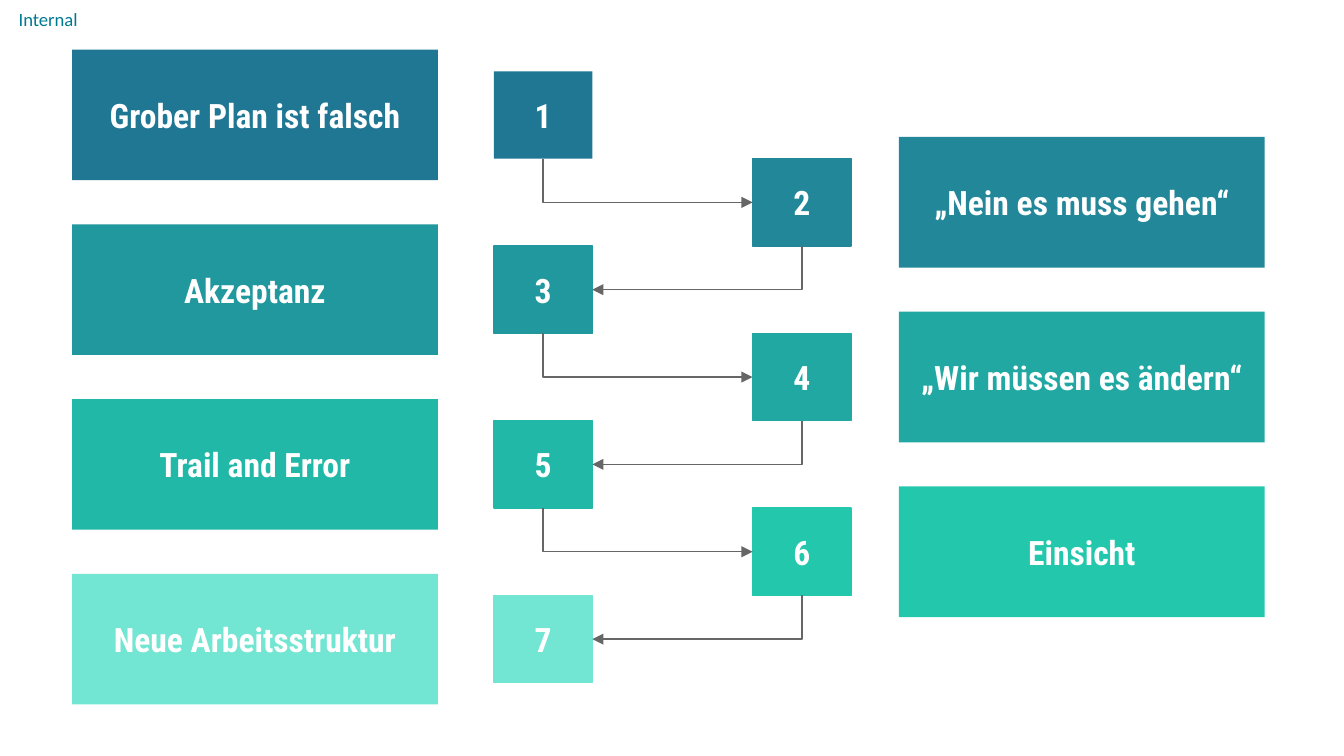
from pptx import Presentation
from pptx.dml.color import RGBColor
from pptx.enum.shapes import MSO_CONNECTOR, MSO_SHAPE
from pptx.enum.text import MSO_ANCHOR, PP_ALIGN
from pptx.oxml.ns import qn
from pptx.util import Pt
from lxml.etree import SubElement

STEPS = [
    ("Grober Plan ist falsch", "207794"),
    ("„Nein es muss gehen“", "218799"),
    ("Akzeptanz", "21979E"),
    ("„Wir müssen es ändern“", "22A8A2"),
    ("Trail and Error", "22B8A7"),
    ("Einsicht", "23C8AC"),
    ("Neue Arbeitsstruktur", "73E6D3"),
]
PITCH = 46.8
CARD_W, CARD_H = 196, 70
NUM_W, NUM_H = 52.7, PITCH
NUM_X = (226, 364.6)


def color(value):
    return RGBColor.from_string(value)


def write(tf, text, size=18, font="Roboto Condensed", fill="FFFFFF",
          bold=True, align=PP_ALIGN.CENTER, inset=7.2):
    tf.word_wrap = True
    tf.vertical_anchor = MSO_ANCHOR.MIDDLE
    tf.margin_left = tf.margin_right = Pt(inset)
    tf.margin_top = tf.margin_bottom = Pt(inset)
    p = tf.paragraphs[0]
    p.alignment = align
    r = p.add_run()
    r.text = text
    r.font.size = Pt(size)
    r.font.name = font
    r.font.bold = bold
    r.font.color.rgb = color(fill)


def add_block(s, box, text, fill, outlined=False):
    sp = s.shapes.add_shape(MSO_SHAPE.RECTANGLE, *map(Pt, box))
    sp.shadow.inherit = False
    sp.fill.solid()
    sp.fill.fore_color.rgb = color(fill)
    if outlined:
        sp.line.color.rgb = color(fill)
        sp.line.width = Pt(0.75)
    else:
        sp.line.fill.background()
    write(sp.text_frame, text)


def add_elbow(s, x1, y1, x2, y2):
    run, drop = abs(x2 - x1), y2 - y1
    cx, cy = (x1 + x2) / 2, (y1 + y2) / 2
    left, right = cx - drop / 2, cx + drop / 2
    top, bottom = cy - run / 2, cy + run / 2
    rightward = x2 > x1
    if rightward:
        left, right = right, left
    c = s.shapes.add_connector(MSO_CONNECTOR.ELBOW, Pt(left), Pt(top),
                               Pt(right), Pt(bottom))
    c.line.color.rgb = color("666666")
    c.line.width = Pt(0.75)
    SubElement(c.get_or_add_ln(), qn("a:tailEnd"), type="triangle")
    spPr = c.element.spPr
    spPr.find(qn("a:prstGeom")).set("prst", "bentConnector2")
    spPr.find(qn("a:xfrm")).set("rot", str((270 if rightward else 90) * 60000))
    SubElement(spPr, qn("a:effectLst"))


def add_label(s, box):
    sp = s.shapes.add_textbox(*map(Pt, box))
    write(sp.text_frame, "Internal", size=10, font="Calibri", fill="007A93",
          bold=False, align=PP_ALIGN.LEFT, inset=0)
    sp.text_frame.margin_left = Pt(10)


def add_steps(s, box):
    x, y, w, h = box
    card_x = (x, x + w - CARD_W)
    for i, (text, fill) in enumerate(STEPS):
        side = i % 2
        top = y + i * PITCH
        num_x = x + NUM_X[side]
        num_y = top + (CARD_H - NUM_H) / 2
        add_block(s, (num_x, num_y, NUM_W, NUM_H), str(i + 1), fill, i > 0)
        if i:
            start_x = x + NUM_X[1 - side] + NUM_W / 2
            end_x = num_x if side else num_x + NUM_W
            add_elbow(s, start_x, num_y, end_x, num_y + NUM_H / 2)
        add_block(s, (card_x[side], top, CARD_W, CARD_H), text, fill)


def main():
    prs = Presentation()
    prs.slide_width, prs.slide_height = Pt(720), Pt(405)
    s = prs.slides.add_slide(prs.slide_layouts[6])
    add_label(s, (0, 0, 52.5, 20.5))
    add_steps(s, (38.6, 26.6, 639, 350.8))
    prs.save("out.pptx")


if __name__ == "__main__":
    main()
